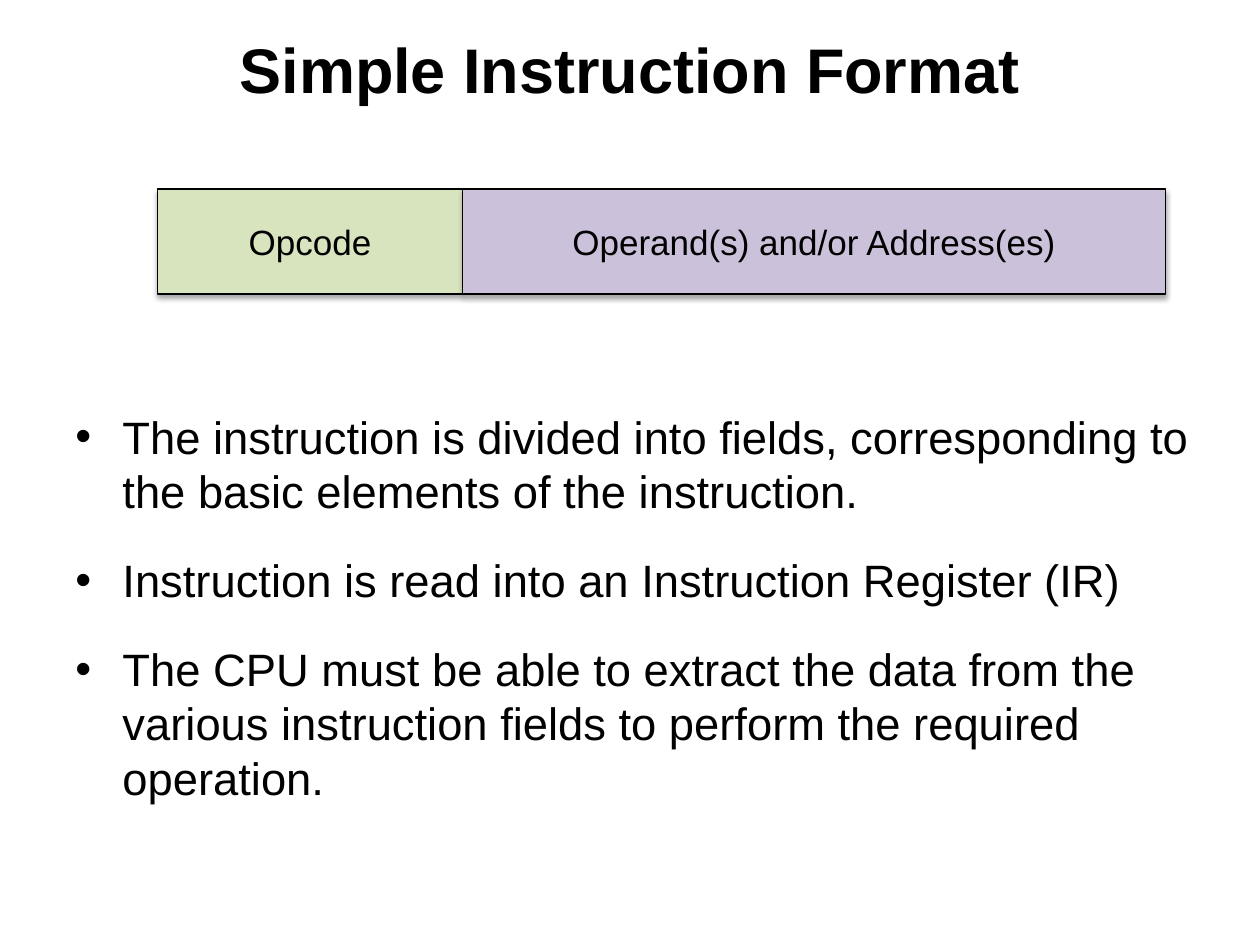
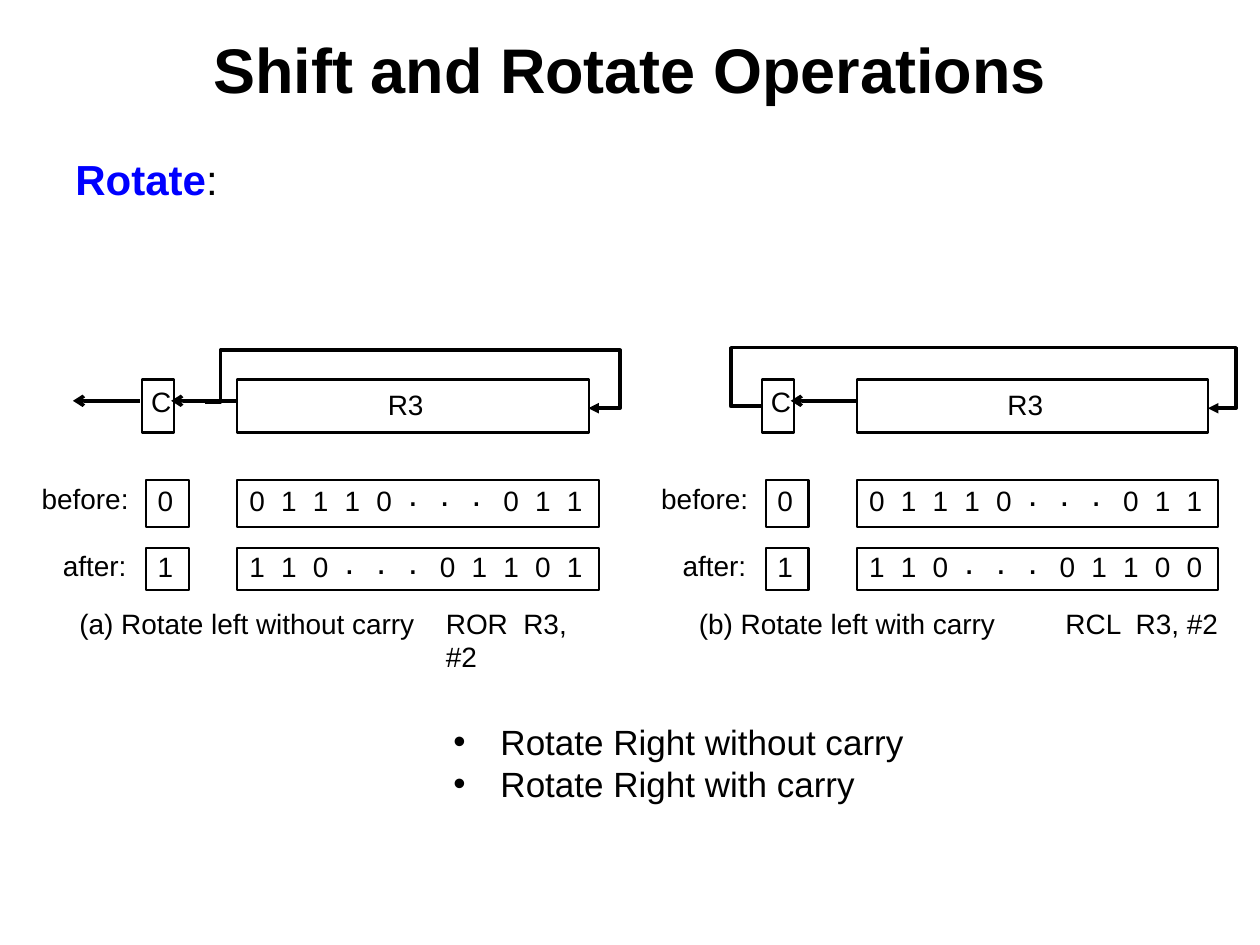
from dataclasses import dataclass

from lxml.etree import SubElement
from pptx import Presentation
from pptx.dml.color import RGBColor
from pptx.enum.shapes import MSO_CONNECTOR, MSO_SHAPE
from pptx.enum.text import MSO_ANCHOR, MSO_AUTO_SIZE, PP_ALIGN
from pptx.oxml.ns import qn
from pptx.util import Cm, Pt


@dataclass(frozen=True)
class Theme:
    font: str = "Arial"
    ink: str = "000000"
    accent: str = "0000FF"
    opcode: str = "D7E4BD"
    operand: str = "CCC1DA"
    title: float = 36
    body: float = 25.9
    heading: float = 24
    field: float = 20
    label: float = 16
    border: float = 0.75
    register: float = 1.25
    arrow: float = 2


THEME = Theme()
LABEL_HEIGHT = 0.69
DOT_HEIGHT = 0.86
BIT_LEFT = 5.03
BIT_PITCH = 0.64
PANEL_PITCH = 12.49
INDENT = Cm(0.95)


def place(box):
    """Turn a box in centimetres into lengths."""
    return [Cm(side) for side in box]


def add_bullet(paragraph):
    """Give a paragraph a hanging bullet."""
    properties = paragraph._p.get_or_add_pPr()
    properties.set("marL", str(INDENT))
    properties.set("indent", str(-INDENT))
    SubElement(properties, qn("a:buFont"), typeface=THEME.font)
    SubElement(properties, qn("a:buChar"), char="•")


def add_run(paragraph, text, size, color, bold):
    """Append a run in the deck's font."""
    run = paragraph.add_run()
    run.text = text
    run.font.name = THEME.font
    run.font.size = Pt(size)
    run.font.bold = bold
    run.font.color.rgb = RGBColor.from_string(color)


def write(frame, text, size=THEME.label, bold=False, align=PP_ALIGN.LEFT,
          anchor=MSO_ANCHOR.TOP, bullets=False, gap=0, lead="", wrap=True, inset=True):
    """Fill a frame, one paragraph per line of text, after an accented lead."""
    frame.word_wrap = wrap
    frame.auto_size = MSO_AUTO_SIZE.NONE if wrap else MSO_AUTO_SIZE.SHAPE_TO_FIT_TEXT
    frame.vertical_anchor = anchor
    if not inset:
        frame.margin_left = frame.margin_right = 0
        frame.margin_top = frame.margin_bottom = 0
    for index, line in enumerate(text.split("\n")):
        paragraph = frame.add_paragraph() if index else frame.paragraphs[0]
        paragraph.alignment = align
        paragraph.space_after = Pt(gap)
        if bullets:
            add_bullet(paragraph)
        if lead:
            add_run(paragraph, lead, size, THEME.accent, True)
        add_run(paragraph, line, size, THEME.ink, bold)


def add_text(shapes, text, box, **form):
    """Add a text box."""
    write(shapes.add_textbox(*place(box)).text_frame, text, **form)


def add_label(shapes, text, left, top, width, height=LABEL_HEIGHT, size=THEME.label):
    """Add a tight one-line label."""
    add_text(shapes, text, (left, top, width, height), size=size, wrap=False, inset=False)


def add_box(shapes, box, weight=THEME.register, fill=None):
    """Add an outlined rectangle without a shadow."""
    rectangle = shapes.add_shape(MSO_SHAPE.RECTANGLE, *place(box))
    if fill:
        rectangle.fill.solid()
        rectangle.fill.fore_color.rgb = RGBColor.from_string(fill)
    else:
        rectangle.fill.background()
    rectangle.line.color.rgb = RGBColor.from_string(THEME.ink)
    rectangle.line.width = Pt(weight)
    rectangle.shadow.inherit = False
    return rectangle


def add_field(shapes, text, box, fill):
    """Add a filled instruction field with a soft shadow below it."""
    field = add_box(shapes, box, THEME.border, fill)
    effects = field._element.spPr.find(qn("a:effectLst"))
    shadow = SubElement(effects, qn("a:outerShdw"), blurRad=str(Pt(3.1)),
                        dist=str(Pt(1.8)), dir="5400000", rotWithShape="0")
    color = SubElement(shadow, qn("a:srgbClr"), val=THEME.ink)
    SubElement(color, qn("a:alpha"), val="35000")
    write(field.text_frame, text, size=THEME.field, align=PP_ALIGN.CENTER,
          anchor=MSO_ANCHOR.MIDDLE)


def add_arrow(shapes, start, end, head="arrow", kind=MSO_CONNECTOR.STRAIGHT):
    """Add a connector with an arrowhead at its end."""
    arrow = shapes.add_connector(kind, *place(start + end))
    arrow.line.color.rgb = RGBColor.from_string(THEME.ink)
    arrow.line.width = Pt(THEME.arrow)
    SubElement(arrow.line._get_or_add_ln(), qn("a:tailEnd"), type=head)
    SubElement(arrow._element.spPr, qn("a:effectLst"))
    return arrow


def add_loop(shapes, start, end, left, top, right):
    """Add a five-part connector that runs round the register by three lanes."""
    loop = add_arrow(shapes, start, end, "triangle", MSO_CONNECTOR.ELBOW)
    geometry = loop._element.spPr.find(qn("a:prstGeom"))
    geometry.set("prst", "bentConnector5")
    guides = geometry.find(qn("a:avLst"))
    width, height = end[0] - start[0], end[1] - start[1]
    ratios = ((left - start[0]) / width, (top - start[1]) / height,
              (right - start[0]) / width)
    for number, ratio in enumerate(ratios, 1):
        SubElement(guides, qn("a:gd"), name=f"adj{number}",
                   fmla=f"val {round(ratio * 100000)}")


def add_state(shapes, x, carry, bits, top, height, digit_top, dot_top):
    """Add the carry and register contents at one moment."""
    add_box(shapes, (x + 2.95, top, 0.86, height))
    add_box(shapes, (x + 4.78, top, 7.29, height))
    add_label(shapes, carry, x + 3.18, digit_top, 0.31)
    for column, bit in enumerate(bits):
        left = x + BIT_LEFT + column * BIT_PITCH
        if bit == ".":
            add_label(shapes, bit, left, dot_top, 0.2, DOT_HEIGHT, THEME.field)
        else:
            add_label(shapes, bit, left, digit_top, 0.31)


def add_rotation(slide, x, caption, caption_width, instruction, after, loop, shifts_out):
    """Add one rotate diagram as a group."""
    shapes = slide.shapes.add_group_shape().shapes
    add_box(shapes, (x + 2.87, 7.65, 0.64, 1.07))
    add_box(shapes, (x + 4.78, 7.65, 7.09, 1.07))
    add_label(shapes, "C", x + 3.05, 7.75, 0.41)
    add_label(shapes, "R3", x + 7.82, 7.82, 0.74)
    add_label(shapes, "before:", x + 0.84, 9.7, 1.78)
    add_label(shapes, "after:", x + 1.27, 11.05, 1.3)
    add_state(shapes, x, "0", "01110...011", 9.68, 0.94, 9.75, 9.5)
    add_state(shapes, x, "1", after, 11.05, 0.84, 11.07, 10.87)
    add_label(shapes, caption, x + 1.6, 12.22, caption_width)
    add_label(shapes, instruction, x + 8.99, 12.22, 3.2)
    add_arrow(shapes, (x + 4.8, 8.08), (x + 3.45, 8.08))
    if shifts_out:
        add_arrow(shapes, (x + 2.82, 8.08), (x + 1.47, 8.08))
    start_x, start_y, left, top, right = loop
    add_loop(shapes, (x + start_x, start_y), (x + 11.86, 8.23), x + left, top, x + right)


def add_slide(deck, title):
    """Add a blank slide with the shared title."""
    slide = deck.slides.add_slide(deck.slide_layouts[6])
    add_text(slide.shapes, title, (1.27, 0.43, 22.86, 1.9), size=THEME.title, bold=True,
             align=PP_ALIGN.CENTER, anchor=MSO_ANCHOR.MIDDLE)
    return slide


def build_format_slide(deck):
    """Build the slide on the instruction format."""
    shapes = add_slide(deck, "Simple Instruction Format").shapes
    add_text(shapes,
             "The instruction is divided into fields, corresponding to the basic "
             "elements of the instruction.\n"
             "Instruction is read into an Instruction Register (IR)\n"
             "The CPU must be able to extract the data from the various instruction "
             "fields to perform the required operation.",
             (1.27, 8.12, 23.5, 9.02), size=THEME.body, bullets=True, gap=19.7)
    add_field(shapes, "Opcode", (3.18, 3.81, 6.14, 2.12), THEME.opcode)
    add_field(shapes, "Operand(s) and/or Address(es)", (9.32, 3.81, 14.18, 2.12),
              THEME.operand)


def build_rotate_slide(deck):
    """Build the slide on the rotate operations."""
    slide = add_slide(deck, "Shift and Rotate Operations")
    add_text(slide.shapes, ":", (1.27, 2.96, 3.4, 1.27), size=THEME.heading,
             lead="Rotate", wrap=False)
    add_rotation(slide, 0, "(a) Rotate left without carry", 6.83, "ROR  R3, #2",
                 "110...01101", (4.14, 8.1, 4.45, 7.06, 12.5), True)
    add_rotation(slide, PANEL_PITCH, "(b) Rotate left with carry", 6.05, "RCL  R3, #2",
                 "110...01100", (2.88, 8.19, 2.24, 7.01, 12.43), False)
    add_text(slide.shapes, "Rotate Right without carry\nRotate Right with carry",
             (8.89, 14.4, 9.68, 1.96), size=THEME.field, bullets=True, wrap=False)


def main():
    """Build and save the deck."""
    deck = Presentation()
    deck.slide_width, deck.slide_height = Cm(25.4), Cm(19.05)
    build_format_slide(deck)
    build_rotate_slide(deck)
    deck.save("out.pptx")


main()
